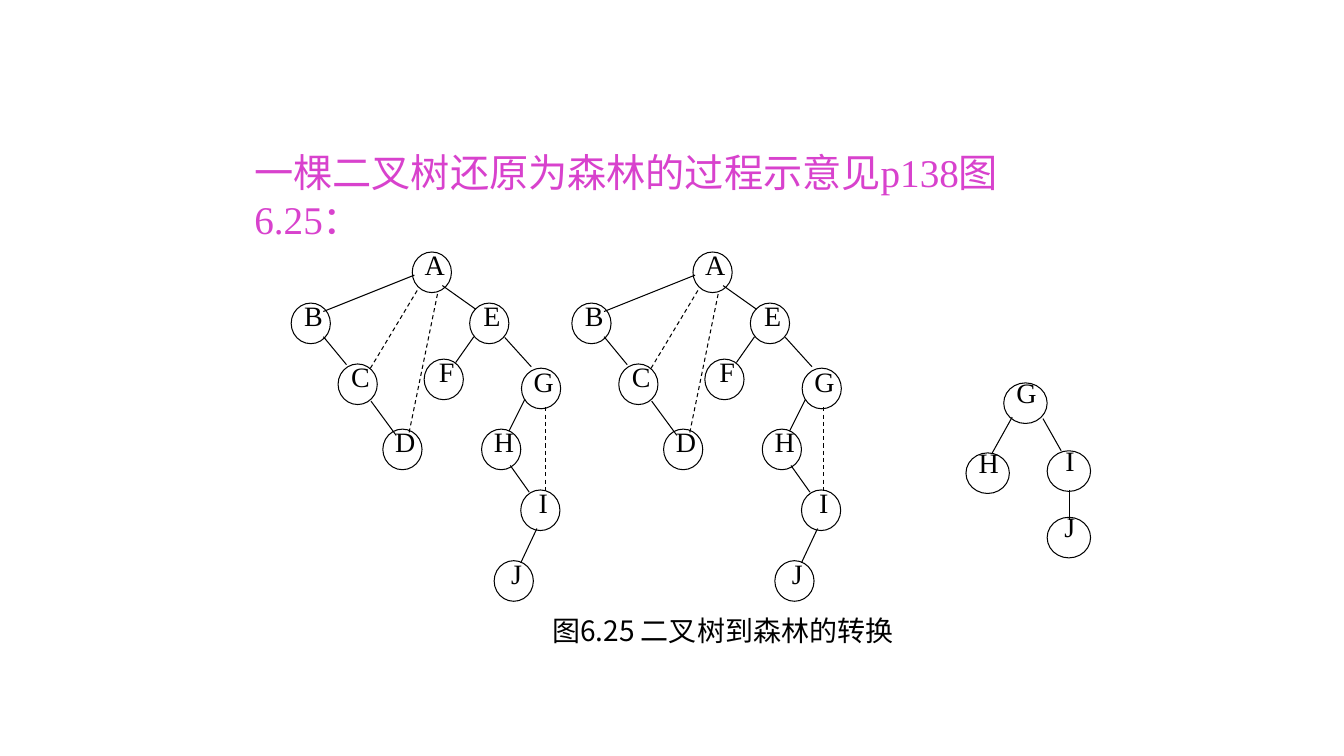
"""Draw the slide on turning a binary tree back into a forest."""
import pptx
import pptx.dml.color
import pptx.enum.dml
import pptx.enum.shapes
import pptx.enum.text
import pptx.oxml
import pptx.oxml.ns
import pptx.util

Pt = pptx.util.Pt
Color = pptx.dml.color.RGBColor.from_string
Align = pptx.enum.text.PP_ALIGN

THEME = {
    "ink": Color("000000"),
    "accent": Color("D842CD"),
    "latin": "Times New Roman",
    "asian": "Noto Sans CJK SC",
    "head": Pt(28),
    "body": Pt(20),
    "line": Pt(0.75),
}

BIG = {
    "size": (28, 29),
    "label": (-6, -6.5, 44, 44.5),
    "nodes": {
        "D": (273.5, 306.5), "A": (294.5, 180), "B": (208, 216.5),
        "C": (241.5, 260), "E": (335.5, 216.5), "F": (303, 256.5),
        "G": (372.5, 263), "H": (344, 306.5), "I": (372, 350),
        "J": (353, 400.5),
    },
    "solid": [
        (296, 196.5, 231, 222.5), (231, 240.5, 247.5, 260.5),
        (265, 286.5, 283, 311), (316, 204, 340, 221),
        (338.5, 240.5, 325.5, 259), (360.5, 241, 379.5, 262),
        (375, 285, 363.5, 308), (364.5, 332.5, 378, 351.5),
        (383.5, 377.5, 372, 402),
    ],
    "dashed": [(298, 207.5, 264, 264), (312.5, 210, 292, 310)],
}

SMALL = {
    "size": (31, 29),
    "label": (-5, -9, 42.5, 39.5),
    "nodes": {
        "H": (690, 323.5), "I": (748, 322),
        "J": (748, 369.5), "G": (717, 273.5),
    },
    "solid": [
        (723, 298, 708.5, 324), (745, 299, 758, 322),
        (764, 350, 764, 371.5),
    ],
    "dashed": [],
}


def apply(target, values):
    """Set each named value on the target."""
    for name, value in values.items():
        setattr(target, name, value)


class Board:
    """Hold the theme and the slide being drawn."""

    def __init__(self, slide, theme):
        """Keep the slide and its theme."""
        self.slide = slide
        self.shapes = slide.shapes
        self.theme = theme

    def letter(self, shape, text, font, color, align):
        """Put one formatted paragraph in a shape."""
        frame = shape.text_frame
        apply(frame, {
            "word_wrap": True,
            "auto_size": pptx.enum.text.MSO_AUTO_SIZE.NONE,
            "vertical_anchor": pptx.enum.text.MSO_ANCHOR.TOP,
        })
        para = frame.paragraphs[0]
        para.alignment = align
        run = para.add_run()
        run.text = text
        apply(run.font, font)
        run.font.color.rgb = color
        asian = pptx.oxml.parse_xml(
            f'<a:ea {pptx.oxml.ns.nsdecls("a")} typeface="{self.theme["asian"]}"/>')
        run._r.get_or_add_rPr().append(asian)

    def title(self, text, left, top, width, height):
        """Place and fill the title."""
        shape = self.shapes.title
        apply(shape, {"left": Pt(left), "top": Pt(top),
                      "width": Pt(width), "height": Pt(height)})
        font = {"name": self.theme["latin"], "size": self.theme["head"]}
        self.letter(shape, text, font, self.theme["accent"], Align.LEFT)

    def label(self, text, left, top, width, height, face="latin"):
        """Add a centred text box."""
        box = self.shapes.add_textbox(Pt(left), Pt(top), Pt(width), Pt(height))
        font = {"name": self.theme[face], "size": self.theme["body"]}
        self.letter(box, text, font, self.theme["ink"], Align.CENTER)

    def ring(self, left, top, width, height):
        """Add an unfilled node outline."""
        oval = self.shapes.add_shape(
            pptx.enum.shapes.MSO_SHAPE.OVAL,
            Pt(left), Pt(top), Pt(width), Pt(height))
        oval.shadow.inherit = False
        oval.fill.background()
        self.stroke(oval.line)

    def stroke(self, line):
        """Give a line its colour and width."""
        line.color.rgb = self.theme["ink"]
        line.width = self.theme["line"]

    def edge(self, start_x, start_y, end_x, end_y, dashed=False):
        """Add a straight edge."""
        link = self.shapes.add_connector(
            pptx.enum.shapes.MSO_CONNECTOR.STRAIGHT,
            Pt(start_x), Pt(start_y), Pt(end_x), Pt(end_y))
        self.stroke(link.line)
        if dashed:
            link.line.dash_style = pptx.enum.dml.MSO_LINE.DASH
        link._element.spPr.append(pptx.oxml.parse_xml(
            f'<a:effectLst {pptx.oxml.ns.nsdecls("a")}/>'))

    def tree(self, plan, shift=0):
        """Add the nodes and edges of one tree."""
        shift_x, shift_y, width, height = plan["label"]
        for name, (left, top) in plan["nodes"].items():
            left += shift
            self.label(name, left + shift_x, top + shift_y, width, height)
            self.ring(left, top, *plan["size"])
        for kind in ("solid", "dashed"):
            for x1, y1, x2, y2 in plan[kind]:
                self.edge(x1 + shift, y1, x2 + shift, y2, kind == "dashed")


def main():
    """Build and save the slide."""
    deck = pptx.Presentation()
    apply(deck, {"slide_width": Pt(960), "slide_height": Pt(540)})
    board = Board(deck.slides.add_slide(deck.slide_layouts[5]), THEME)
    board.title("一棵二叉树还原为森林的过程示意见p138图6.25：", 174.5, 102, 612, 41)
    for shift, link in ((0, 390), (200.5, 588)):
        board.tree(BIG, shift)
        board.edge(link, 291, link, 350.5, True)
    board.tree(SMALL)
    board.label("图6.25 二叉树到森林的转换", 299.5, 435, 433.5, 49, "asian")
    deck.save("out.pptx")


if __name__ == "__main__":
    main()
